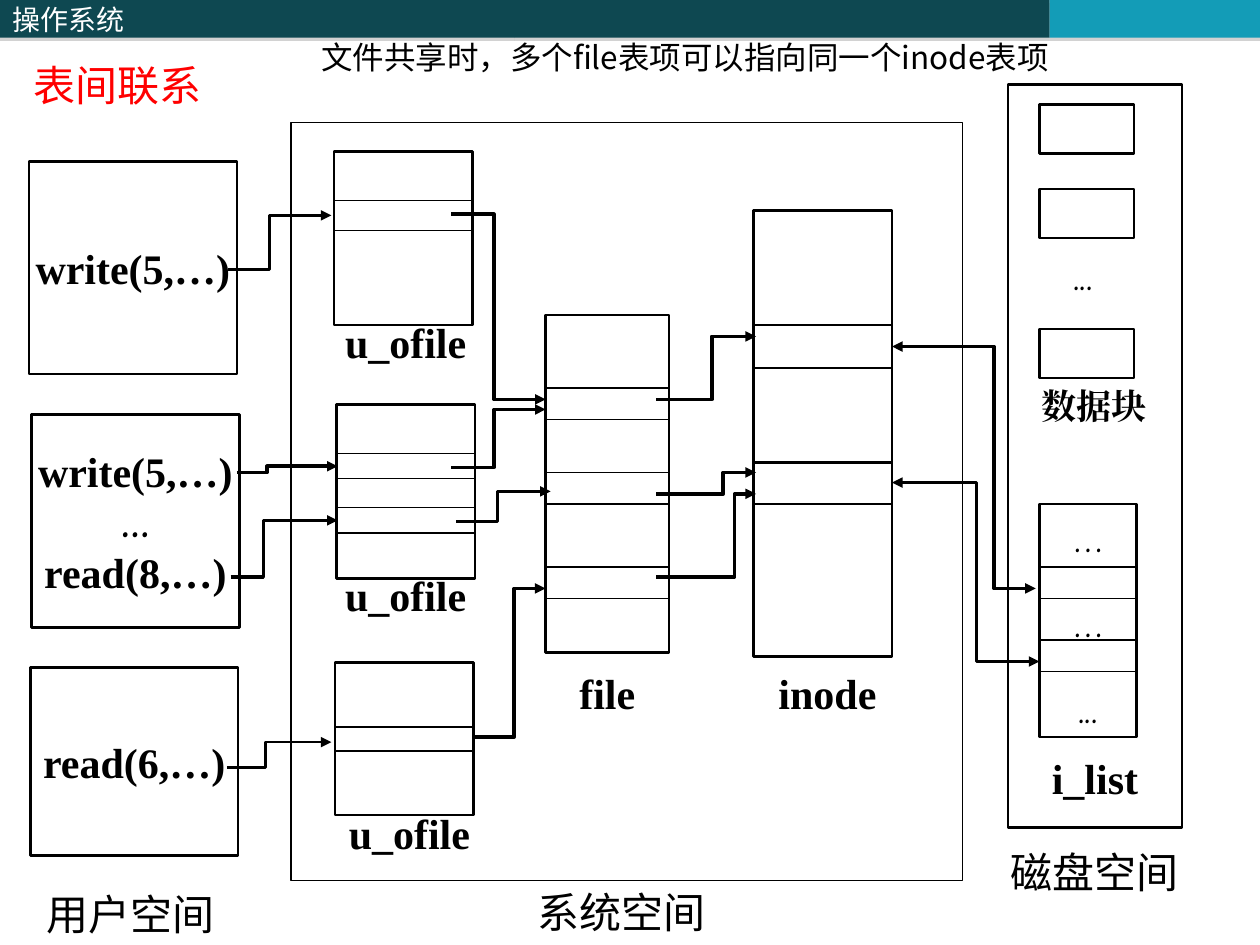
from lxml import etree
from pptx import Presentation
from pptx.dml.color import RGBColor
from pptx.enum.shapes import MSO_CONNECTOR, MSO_SHAPE
from pptx.enum.text import MSO_ANCHOR, MSO_AUTO_SIZE, PP_ALIGN
from pptx.oxml import parse_xml
from pptx.oxml.ns import qn
from pptx.util import Inches, Pt

RECT, STRAIGHT = MSO_SHAPE.RECTANGLE, MSO_CONNECTOR.STRAIGHT
MIDDLE, TOP, CENTER = MSO_ANCHOR.MIDDLE, MSO_ANCHOR.TOP, PP_ALIGN.CENTER
FIT = MSO_AUTO_SIZE.SHAPE_TO_FIT_TEXT
CJK, SERIF, COMIC = "Noto Sans CJK SC", "Times New Roman", "Comic Neue"
BLACK, WHITE, RED = "000000", "FFFFFF", "FF0000"
W, H = 10, 7.5

HEADER = [(0, 4.08, "0E4851", "操作系统"), (4.08, 4.25, "0E4851", ""), (8.33, 1.67, "139CB7", "")]
HEADER_H = 0.3

FRAMES = [(2.31, 0.97, 5.33, 6.02, 0.75), (8, 0.67, 1.38, 5.9, 1.5)]

PROCESSES = [
    (0.23, 1.28, 1.65, 1.69, [("write(5,…)", SERIF)]),
    (0.25, 3.29, 1.65, 1.69, [("write(5,…)", SERIF), ("…", COMIC), ("read(8,…)", SERIF)]),
    (0.24, 5.3, 1.65, 1.49, [("read(6,…)", SERIF)]),
]

TABLES = {
    "u_ofile 1": (2.65, 1.2, 1.1, 1.38, [1.59, 1.83], 0.75),
    "u_ofile 2": (2.67, 3.21, 1.1, 1.38, [3.6, 3.8, 4.03, 4.23], 0.75),
    "u_ofile 3": (2.66, 5.26, 1.1, 1.21, [5.77, 5.96], 0.75),
    "file": (4.33, 2.5, 0.98, 2.68, [3.08, 3.33, 3.75, 4, 4.5, 4.75], 0.75),
    "inode": (5.98, 1.67, 1.1, 3.54, [2.58, 2.92, 3.67, 4], 1.5),
    "i_list": (8.25, 4, 0.77, 1.85, [4.5, 4.75, 5.08, 5.33], 0.75),
}
I_LIST_GAPS = ["…", "…", "..."]

BLOCK_X, BLOCK_W, BLOCK_H = 8.25, 0.75, 0.39
BLOCK_TOPS = [0.83, 1.5, 2.61]

LABELS = [
    (0.17, 0.42, 1.92, "表间联系", CJK, 24, RED, False),
    (0.27, 7, 1.67, "用户空间", CJK, 24, BLACK, False),
    (4.17, 6.99, 1.75, "系统空间", CJK, 24, BLACK, False),
    (7.92, 6.67, 1.58, "磁盘空间", CJK, 24, BLACK, False),
    (2.64, 2.46, 1.26, "u_ofile", SERIF, 24, BLACK, True),
    (2.64, 4.47, 1.26, "u_ofile", SERIF, 24, BLACK, True),
    (2.67, 6.36, 1.26, "u_ofile", SERIF, 24, BLACK, True),
    (4.5, 5.25, 0.83, "file", SERIF, 24, BLACK, True),
    (6.08, 5.25, 1.08, "inode", SERIF, 24, BLACK, True),
    (8.25, 5.92, 1, "i_list", SERIF, 24, BLACK, True),
    (8.17, 3, 1.25, "数据块", SERIF, 20, BLACK, True),
    (8.42, 1.92, 0.5, "...", COMIC, 24, BLACK, False),
]
NOTE = (2.45, 0.25, 6.3, "文件共享时，多个file表项可以指向同一个inode表项")

# start x, start y, bend x, end x, end y, line width, arrow at both ends
ROUTES = [
    (1.81, 2.14, 2.14, 2.63, 1.71, 2, False),
    (1.88, 3.75, 2.12, 2.68, 3.7, 2, False),
    (1.83, 4.58, 2.09, 2.68, 4.13, 2, False),
    (1.8, 6.09, 2.11, 2.63, 5.89, 1.5, False),
    (3.58, 1.7, 3.92, 4.33, 3.17, 2, False),
    (3.58, 3.71, 3.92, 4.33, 3.25, 2, False),
    (3.62, 4.14, 3.95, 4.37, 3.9, 2, False),
    (3.76, 5.85, 4.08, 4.33, 4.67, 2, False),
    (5.21, 3.17, 5.65, 6, 2.67, 2, False),
    (5.21, 3.92, 5.74, 6, 3.75, 2, False),
    (5.21, 4.58, 5.83, 6, 3.92, 2, False),
    (7.08, 2.75, 7.89, 8.22, 4.67, 2, True),
    (7.08, 3.83, 7.75, 8.25, 5.25, 2, True),
]

prs = Presentation()
prs.slide_width, prs.slide_height = Inches(W), Inches(H)
shapes = prs.slides.add_slide(prs.slide_layouts[6]).shapes


def rgb(color):
    return RGBColor.from_string(color)


def box(x, y, w, h, fill=WHITE, line=1.5):
    s = shapes.add_shape(RECT, Inches(x), Inches(y), Inches(w), Inches(h))
    s.shadow.inherit = False
    s.fill.solid()
    s.fill.fore_color.rgb = rgb(fill)
    if line:
        s.line.color.rgb = rgb(BLACK)
        s.line.width = Pt(line)
    else:
        s.line.fill.background()
    return s


def style(p, font, size, color=BLACK, bold=False):
    for r in p.runs:
        r.font.name, r.font.size, r.font.bold = font, Pt(size), bold
        r.font.color.rgb = rgb(color)
        etree.SubElement(r.font._element, qn("a:ea"), typeface=font)


def label(x, y, w, text, font, size, color=BLACK, bold=False, before=0):
    s = shapes.add_textbox(Inches(x), Inches(y), Inches(w), Inches(0.5))
    tf = s.text_frame
    tf.word_wrap, tf.auto_size = True, FIT
    tf.text = text
    tf.paragraphs[0].space_before = Pt(before)
    style(tf.paragraphs[0], font, size, color, bold)


def centred_lines(s, lines, bold, anchor=MIDDLE, before=0):
    tf = s.text_frame
    tf.word_wrap, tf.vertical_anchor = False, anchor
    tf.text = "\n".join(text for text, font in lines)
    for i, (p, (text, font)) in enumerate(zip(tf.paragraphs, lines)):
        p.alignment = CENTER
        p.space_before = Pt(before if i else 0)
        style(p, font, 24, BLACK, bold)


def row_line(x, y, w, width):
    c = shapes.add_connector(STRAIGHT, Inches(x), Inches(y), Inches(x + w), Inches(y))
    c.line.color.rgb = rgb(BLACK)
    c.line.width = Pt(width)
    etree.SubElement(c._element.spPr, qn("a:effectLst"))


def route(x1, y1, bend, x2, y2, width, both_ends):
    fb = shapes.build_freeform(Inches(x1), Inches(y1))
    points = [(bend, y1), (bend, y2), (x2, y2)]
    fb.add_line_segments([(Inches(x), Inches(y)) for x, y in points], close=False)
    s = fb.convert_to_shape()
    s.shadow.inherit = False
    s.fill.background()
    s.line.color.rgb = rgb(BLACK)
    s.line.width = Pt(width)
    for end in ["a:headEnd", "a:tailEnd"][0 if both_ends else 1:]:
        etree.SubElement(s.line._get_or_add_ln(), qn(end), type="triangle")


def drop_shadow(s):
    effects = s._element.spPr.find(qn("a:effectLst"))
    effects.append(parse_xml(
        '<a:outerShdw xmlns:a="http://schemas.openxmlformats.org/drawingml/2006/main" '
        'dist="22860" dir="5400000" rotWithShape="0"><a:srgbClr val="808080">'
        '<a:alpha val="35000"/></a:srgbClr></a:outerShdw>'))


for x, w, fill, text in HEADER:
    s = box(x, 0, w, HEADER_H, fill, 0)
    drop_shadow(s)
    if text:
        tf = s.text_frame
        tf.text, tf.vertical_anchor = text, MIDDLE
        tf.paragraphs[0].alignment = PP_ALIGN.LEFT
        style(tf.paragraphs[0], CJK, 16, WHITE)

for x, y, w, h, line in FRAMES:
    box(x, y, w, h, line=line)

for x, y, w, h, calls in PROCESSES:
    centred_lines(box(x, y, w, h), calls, True)

for name, (x, y, w, h, rows, width) in TABLES.items():
    s = box(x, y, w, h)
    if name == "i_list":
        centred_lines(s, [(text, COMIC) for text in I_LIST_GAPS], False, TOP, 20)
    for row in rows:
        row_line(x, row, w, width)

for top in BLOCK_TOPS:
    box(BLOCK_X, top, BLOCK_W, BLOCK_H)

for x, y, w, text, font, size, color, bold in LABELS:
    label(x, y, w, text, font, size, color, bold, before=size * 0.625)
label(*NOTE, CJK, 18)

for r in ROUTES:
    route(*r)

prs.save("out.pptx")
